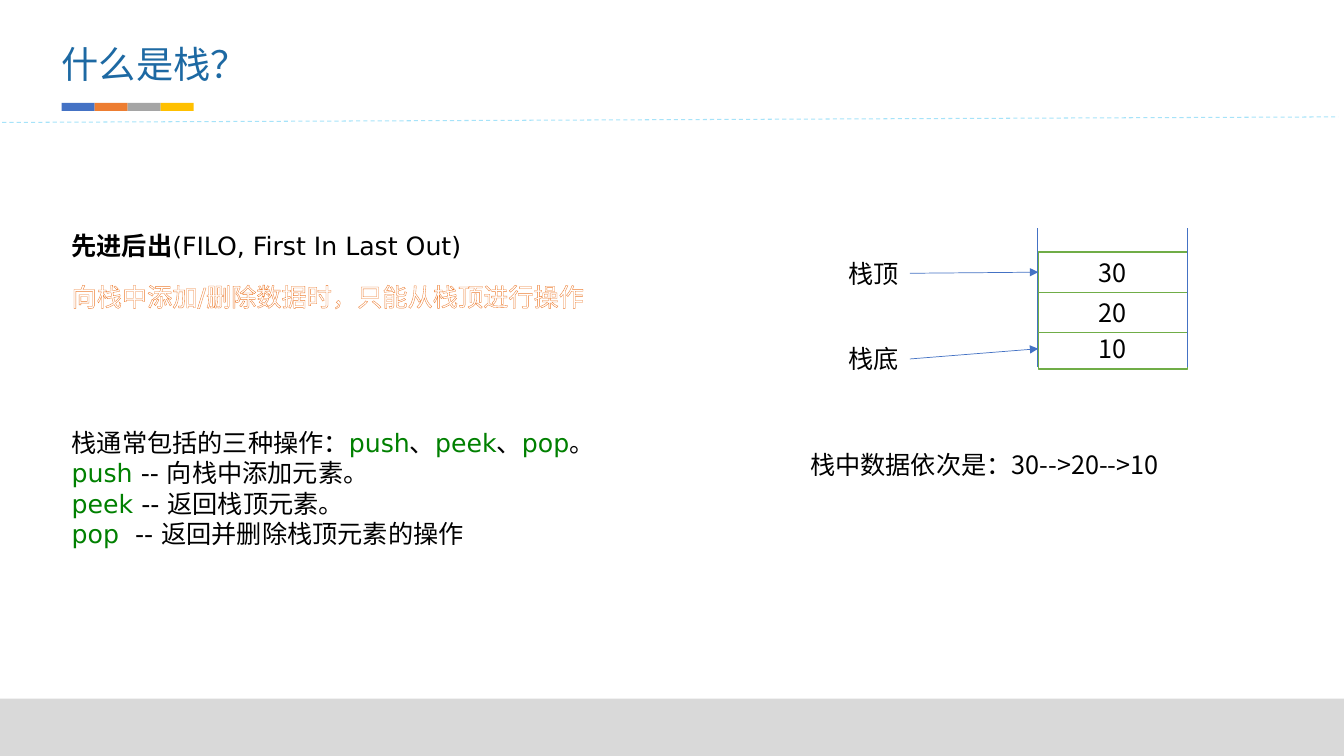
from lxml import etree
from pptx import Presentation
from pptx.dml.color import RGBColor
from pptx.enum import dml, shapes, text
from pptx.oxml import ns
from pptx.util import Pt

BLACK = RGBColor(0, 0, 0)
WHITE = RGBColor(255, 255, 255)
TITLE_BLUE = RGBColor(0x1D, 0x69, 0xA3)
CODE_GREEN = RGBColor(0, 0x80, 0)
CELL_GREEN = RGBColor(0x70, 0xAD, 0x47)
BLUE = RGBColor(0x44, 0x72, 0xC4)
ORANGE = RGBColor(0xED, 0x7D, 0x31)
GRAY = RGBColor(0xA5, 0xA5, 0xA5)
GOLD = RGBColor(0xFF, 0xC0, 0)
CYAN = RGBColor(0, 0xB0, 0xF0)
FOOTER_GRAY = RGBColor(0xD9, 0xD9, 0xD9)
CJK = "Noto Sans CJK SC"
LATIN = "DejaVu Sans"


def points(*lengths):
    """Turn plain numbers into point lengths."""
    return [Pt(length) for length in lengths]


def add_run(paragraph, words, color=BLACK, face=CJK, size=18, bold=False):
    """Append one formatted run and return it."""
    run = paragraph.add_run()
    run.text = words
    for key, value in {"name": face, "size": Pt(size), "bold": bold}.items():
        setattr(run.font, key, value)
    run.font.color.rgb = color
    latin = run._r.rPr.find(ns.qn("a:latin"))
    east_asian = etree.Element(ns.qn("a:ea"), typeface=CJK)
    latin.addnext(east_asian)
    return run


def set_frame(frame, **settings):
    """Apply text frame settings."""
    for key, value in settings.items():
        setattr(frame, key, value)


def add_label(slide, box, wrap=False):
    """Add an empty text box and return it."""
    label = slide.shapes.add_textbox(*points(*box))
    set_frame(label.text_frame, word_wrap=wrap,
              auto_size=text.MSO_AUTO_SIZE.SHAPE_TO_FIT_TEXT)
    return label


def add_block(slide, box, fill, border=None):
    """Add a flat rectangle with an optional border."""
    block = slide.shapes.add_shape(shapes.MSO_SHAPE.RECTANGLE, *points(*box))
    block.shadow.inherit = False
    block.fill.solid()
    block.fill.fore_color.rgb = fill
    if border is None:
        block.line.fill.background()
    else:
        block.line.color.rgb = border
        block.line.width = Pt(1)
    return block


def add_line(slide, ends, color=BLUE, width=0.5):
    """Add a straight line without a shadow."""
    line = slide.shapes.add_connector(shapes.MSO_CONNECTOR.STRAIGHT, *points(*ends))
    line.line.color.rgb = color
    line.line.width = Pt(width)
    etree.SubElement(line._element.spPr, ns.qn("a:effectLst"))
    return line


def place(placeholder, box):
    """Move a placeholder to a box."""
    for key, value in zip(("left", "top", "width", "height"), points(*box)):
        setattr(placeholder, key, value)


def build_header(slide, left, top, width, height):
    """Place the title, its colour strip and the dashed rule."""
    title = slide.shapes.title
    place(title, (left, top, width, height))
    set_frame(title.text_frame, margin_left=0, margin_top=0, margin_right=0,
              margin_bottom=0, word_wrap=True, auto_size=text.MSO_AUTO_SIZE.NONE,
              vertical_anchor=text.MSO_ANCHOR.MIDDLE)
    heading = title.text_frame.paragraphs[0]
    heading.alignment = text.PP_ALIGN.LEFT
    add_run(heading, "什么是栈？", TITLE_BLUE, size=26.6)
    strip = 23.6
    for index, color in enumerate((BLUE, ORANGE, GRAY, GOLD)):
        add_block(slide, (left + index * strip, top + 44.5, strip, 5.8), color)
    rule = add_line(slide, (left - 47.6, top + 58.5, left + 912, top + 54.5), CYAN, 0.75)
    rule.line.dash_style = dml.MSO_LINE.DASH
    tint = rule._element.spPr.find(".//" + ns.qn("a:srgbClr"))
    etree.SubElement(tint, ns.qn("a:alpha"), val="34000")


def build_principle(slide, left, top, width):
    """Place the first-in-last-out rule and its outlined explanation."""
    rule = add_label(slide, (left, top, 307, 29)).text_frame.paragraphs[0]
    add_run(rule, "先进后出", face=LATIN, bold=True)
    add_run(rule, "(FILO, First In Last Out)", face=LATIN)
    access = add_label(slide, (left, top + 36.7, width, 29), wrap=True)
    run = add_run(access.text_frame.paragraphs[0],
                  "向栈中添加/删除数据时，只能从栈顶进行操作", WHITE, LATIN)
    outline = etree.Element(ns.qn("a:ln"), w="6600")
    fill = etree.SubElement(outline, ns.qn("a:solidFill"))
    etree.SubElement(fill, ns.qn("a:srgbClr"), val=str(ORANGE))
    run._r.rPr.insert(0, outline)


def build_operations(slide, left, top, width, height):
    """Fill the body with the three stack operations."""
    body = slide.placeholders[1]
    place(body, (left, top, width, height))
    set_frame(body.text_frame, word_wrap=True, vertical_anchor=text.MSO_ANCHOR.TOP,
              auto_size=text.MSO_AUTO_SIZE.SHAPE_TO_FIT_TEXT)
    operations = (
        (("栈通常包括的三种操作：", BLACK), ("push", CODE_GREEN), ("、", BLACK),
         ("peek", CODE_GREEN), ("、", BLACK), ("pop", CODE_GREEN), ("。", BLACK)),
        (("push ", CODE_GREEN), ("-- 向栈中添加元素。", BLACK)),
        (("peek ", CODE_GREEN), ("-- 返回栈顶元素。", BLACK)),
        (("pop  ", CODE_GREEN), ("-- 返回并删除栈顶元素的操作", BLACK)),
    )
    for index, parts in enumerate(operations):
        frame = body.text_frame
        operation = frame.add_paragraph() if index else frame.paragraphs[0]
        properties = operation._p.get_or_add_pPr()
        properties.set("marL", "0")
        properties.set("indent", "0")
        etree.SubElement(properties, ns.qn("a:buNone"))
        operation.space_before = Pt(0)
        for words, color in parts:
            add_run(operation, words, color, LATIN)


def build_stack(slide, left, top, width, height):
    """Draw the stack cells, walls, pointers and reading order."""
    cells = {}
    for value, offset in (("10", 71.7), ("20", 45.8), ("30", 17)):
        cell = add_block(slide, (left, top + offset, width, 28.8), WHITE, CELL_GREEN)
        cell.text_frame.vertical_anchor = text.MSO_ANCHOR.MIDDLE
        number = cell.text_frame.paragraphs[0]
        number.alignment = text.PP_ALIGN.CENTER
        add_run(number, value)
        cells[value] = cell
    for words, value, offset in (("栈底", "10", 78.9), ("栈顶", "30", 17.7)):
        end = add_label(slide, (left - 142.6, top + offset, 51, 29))
        add_run(end.text_frame.paragraphs[0], words)
        pointer = add_line(slide, (0, 0, 0, 0))
        pointer.begin_connect(end, 3)
        pointer.end_connect(cells[value], 1)
        etree.SubElement(pointer.line._get_or_add_ln(), ns.qn("a:tailEnd"), type="triangle")
    order = add_label(slide, (left - 170, top + 154.5, 278, 29))
    add_run(order.text_frame.paragraphs[0], "栈中数据依次是：30-->20-->10")
    for wall in (left - 0.7, left + width):
        add_line(slide, (wall, top + height, wall, top))


def main():
    """Build the slide and save it."""
    deck = Presentation()
    deck.slide_width, deck.slide_height = points(960, 540)
    slide = deck.slides.add_slide(deck.slide_layouts[1])
    add_block(slide, (0, 499, 960, 41), FOOTER_GRAY)
    build_header(slide, 44, 29, 424, 32.4)
    build_principle(slide, 44, 160.6, 386)
    build_operations(slide, 44, 301.7, 480, 94.5)
    build_stack(slide, 741.6, 163, 106.6, 99)
    deck.save("out.pptx")


if __name__ == "__main__":
    main()
